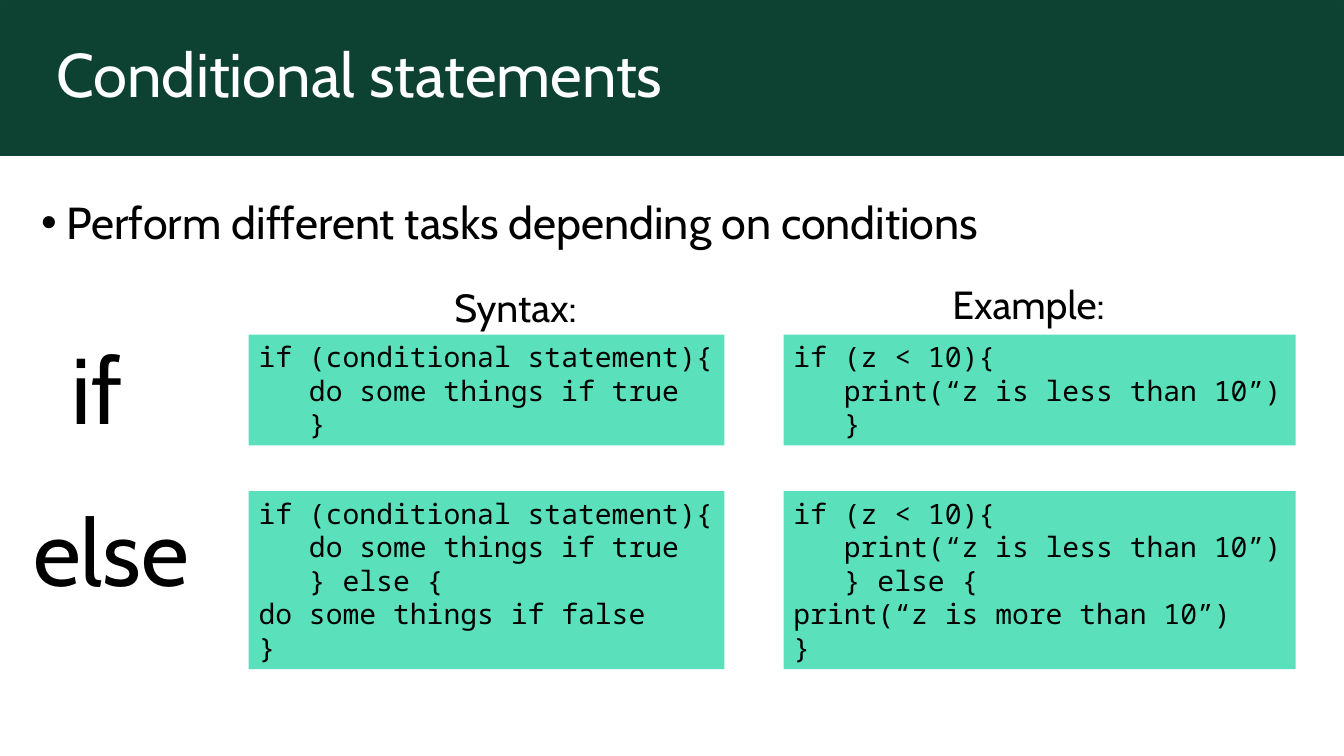
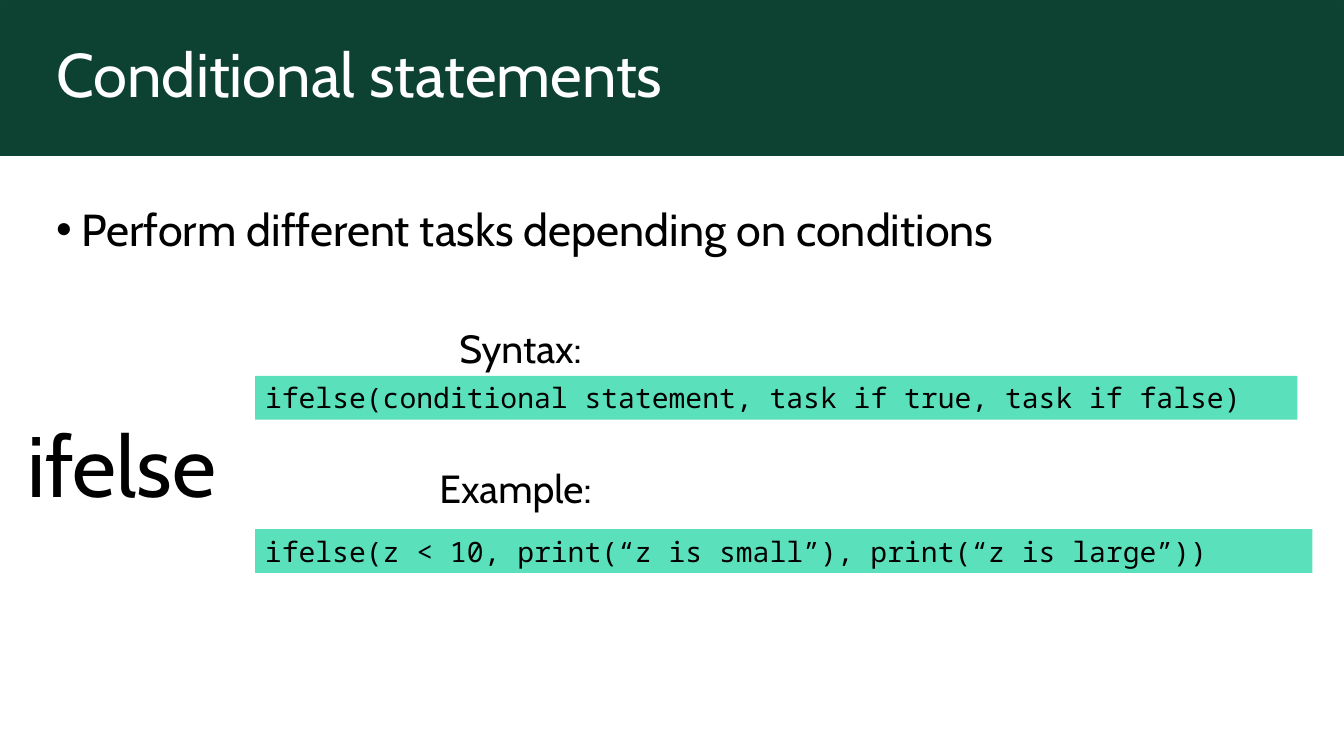
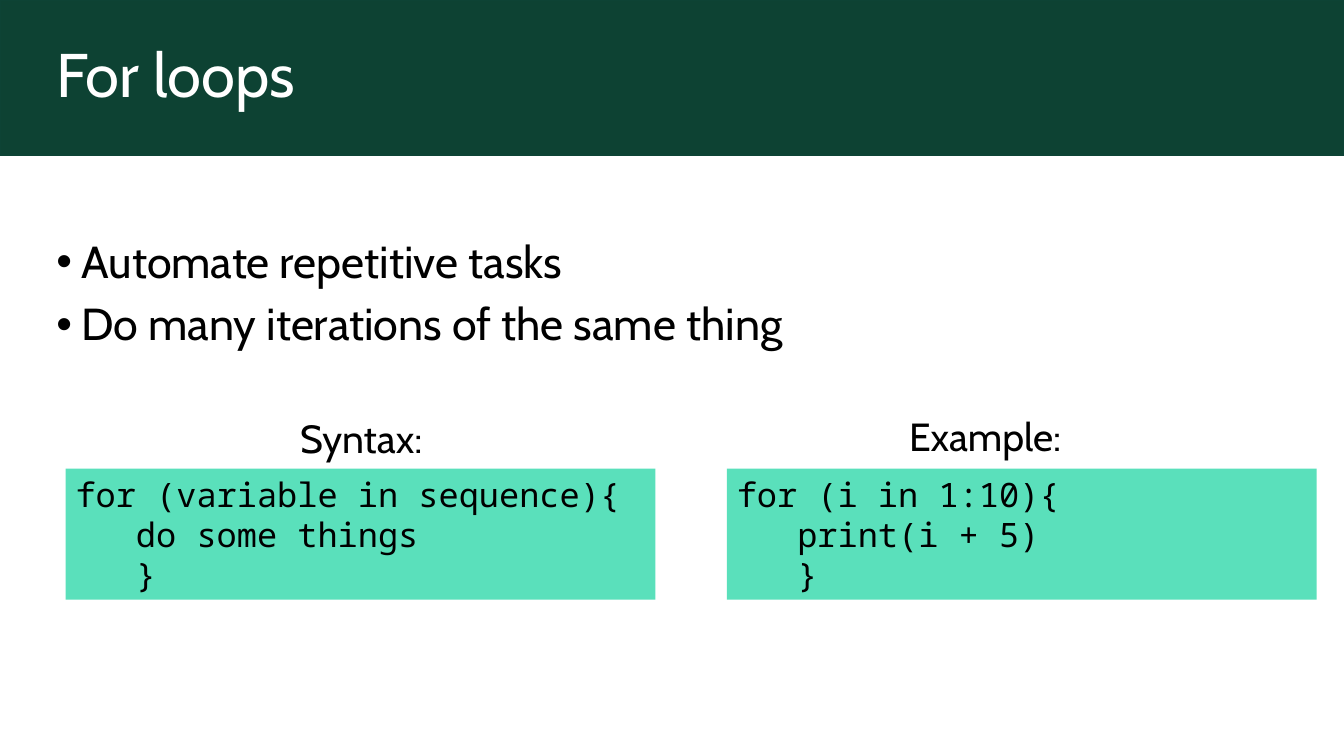
"""Build three slides on conditional statements and loops."""
import dataclasses

import pptx
import pptx.dml.color
import pptx.enum.shapes
import pptx.enum.text
import pptx.oxml
import pptx.oxml.ns
import pptx.util

Pt = pptx.util.Pt
Inches = pptx.util.Inches
Color = pptx.dml.color.RGBColor.from_string
RECTANGLE = pptx.enum.shapes.MSO_SHAPE.RECTANGLE
ANCHOR = pptx.enum.text.MSO_ANCHOR
AUTO_SIZE = pptx.enum.text.MSO_AUTO_SIZE
LEFT = pptx.enum.text.PP_ALIGN.LEFT


@dataclasses.dataclass(frozen=True)
class Theme:
    """Colours, fonts and type sizes of the slides."""
    band: str = "0D4233"
    band_line: str = "0D4335"
    code_fill: str = "5AE0BB"
    ink: str = "000000"
    paper: str = "FFFFFF"
    text_font: str = "Cabin"
    code_font: str = "Noto Sans Mono"
    title: float = 44
    bullet: float = 32
    label: float = 28
    keyword: float = 66.6
    keyword_small: float = 61.2
    code: float = 20
    code_large: float = 24


class Deck:
    """Draws elements on the current slide; places are percent of its size."""
    band_height = 20.53
    margin = 3.45

    def __init__(self, theme):
        self.theme = theme
        self.presentation = pptx.Presentation()
        self.presentation.slide_width = Inches(13.33)
        self.presentation.slide_height = Inches(7.5)
        self.layout = self.presentation.slide_layouts.get_by_name("Title Only")
        self.slide = None

    def across(self, share):
        """Turn a percentage of the slide width into a length."""
        return round(self.presentation.slide_width * share / 100)

    def down(self, share):
        """Turn a percentage of the slide height into a length."""
        return round(self.presentation.slide_height * share / 100)

    def box(self, left, top, width, height):
        """Return the four lengths of a box."""
        return self.across(left), self.down(top), self.across(width), self.down(height)

    def add_text(self, paragraph, text, size, font=None, color=None, spacing=1.0, before=0):
        """Add one run to a paragraph and format both."""
        paragraph.alignment = LEFT
        paragraph.line_spacing = spacing
        paragraph.space_before = Pt(before)
        run = paragraph.add_run()
        run.text = text
        run.font.size = Pt(size)
        run.font.name = font or self.theme.text_font
        run.font.color.rgb = Color(color or self.theme.ink)

    def paragraphs(self, frame, lines):
        """Yield a paragraph of the frame with each line."""
        for index, line in enumerate(lines):
            yield (frame.add_paragraph() if index else frame.paragraphs[0]), line

    def indent(self, paragraph, left, first=0):
        """Set the left margin and first-line indent of a paragraph."""
        properties = paragraph._p.get_or_add_pPr()
        properties.set("marL", str(int(left)))
        properties.set("indent", str(int(first)))
        return properties

    def rectangle(self, left, top, width, height, fill):
        """Add a plain filled rectangle, placed in lengths."""
        shape = self.slide.shapes.add_shape(RECTANGLE, left, top, width, height)
        shape.shadow.inherit = False
        shape.fill.solid()
        shape.fill.fore_color.rgb = Color(fill)
        shape.line.fill.background()
        return shape

    def band(self):
        """Put the title band on the shared layout."""
        shape = self.rectangle(*self.box(0, 0, 100, self.band_height), self.theme.band)
        shape.line.color.rgb = Color(self.theme.band_line)
        shape.line.width = Pt(1)
        self.layout.shapes.element.insert(2, shape.element)

    def start(self, title):
        """Start a titled slide."""
        first = self.slide is None
        self.slide = self.presentation.slides.add_slide(self.layout)
        if first:
            self.band()
        shape = self.slide.shapes.title
        shape.left, shape.top, shape.width, shape.height = self.box(
            self.margin, 0, 100 - self.margin, self.band_height)
        frame = shape.text_frame
        frame.auto_size = AUTO_SIZE.NONE
        frame.vertical_anchor = ANCHOR.MIDDLE
        self.add_text(frame.paragraphs[0], title, self.theme.title,
                      color=self.theme.paper, spacing=0.9)

    def text_box(self, left, top, width, height):
        """Add an empty wrapping text box and return its frame."""
        frame = self.slide.shapes.add_textbox(*self.box(left, top, width, height)).text_frame
        frame.word_wrap = True
        return frame

    def bullets(self, left, top, width, height, lines):
        """Add a bulleted list."""
        frame = self.text_box(left, top, width, height)
        for paragraph, line in self.paragraphs(frame, lines):
            self.add_text(paragraph, line, self.theme.bullet, spacing=0.9, before=10)
            properties = self.indent(paragraph, Inches(0.25), -Inches(0.25))
            for tag, name, value in (("a:buFont", "typeface", "Arial"),
                                     ("a:buChar", "char", "•")):
                element = pptx.oxml.parse_xml(
                    f"<{tag} {pptx.oxml.ns.nsdecls('a')}/>")
                element.set(name, value)
                properties.append(element)

    def label(self, left, top, text, width):
        """Add a heading above a code box."""
        frame = self.text_box(left, top, width, 8.67)
        self.add_text(frame.paragraphs[0], text, self.theme.label, spacing=0.9, before=10)

    def syntax_label(self, left, top):
        """Add the heading of a syntax box."""
        self.label(left, top, "Syntax:", 21.53)

    def example_label(self, left, top):
        """Add the heading of an example box."""
        self.label(left, top, "Example:", 24.6)

    def keyword(self, left, top, width, height, text, size, spacing):
        """Add a large keyword."""
        frame = self.text_box(left, top, width, height)
        self.add_text(frame.paragraphs[0], text, size, spacing=spacing, before=10)

    def code(self, left, top, width, lines, size=None):
        """Add a code box as high as its lines; leading spaces become indents."""
        size = size or self.theme.code
        height = Inches(0.1) + Pt(1.2 * size * len(lines))
        shape = self.rectangle(self.across(left), self.down(top), self.across(width),
                               height, self.theme.code_fill)
        frame = shape.text_frame
        frame.word_wrap = True
        frame.auto_size = AUTO_SIZE.SHAPE_TO_FIT_TEXT
        frame.vertical_anchor = ANCHOR.TOP
        for paragraph, line in self.paragraphs(frame, lines):
            text = line.lstrip()
            self.add_text(paragraph, text, size, self.theme.code_font)
            self.indent(paragraph, Pt(0.6 * size * (len(line) - len(text))))


def if_else_slide(deck):
    """Compare if and else in syntax and example."""
    deck.start("Conditional statements")
    deck.bullets(2.33, 25.87, 76.4, 12.5, ["Perform different tasks depending on conditions"])
    columns = (
        (18.5, 35.4, ["if (conditional statement){", "   do some things if true"],
         "do some things if false"),
        (58.3, 38.1, ["if (z < 10){", "   print(“z is less than 10”)"],
         "print(“z is more than 10”)"),
    )
    for left, width, opening, otherwise in columns:
        deck.code(left, 44.25, width, opening + ["   }"])
        deck.code(left, 64.95, width, opening + ["   } else {", otherwise, "}"])
    deck.syntax_label(33.08, 37.47)
    deck.example_label(70.13, 37.07)
    deck.keyword(4.58, 46, 9.53, 13.87, "if", deck.theme.keyword, 0.8)
    deck.keyword(1.73, 67.47, 14.55, 14.8, "else", deck.theme.keyword, 0.8)


def ifelse_slide(deck):
    """Show the ifelse function."""
    deck.start("Conditional statements")
    deck.bullets(deck.margin, 26.8, 76.4, 12.5,
                 ["Perform different tasks depending on conditions"])
    deck.code(18.98, 49.73, 77.55,
              ["ifelse(conditional statement, task if true, task if false)"])
    deck.code(18.98, 70, 78.68, ["ifelse(z < 10, print(“z is small”), print(“z is large”))"])
    deck.syntax_label(33.45, 42.93)
    deck.example_label(31.95, 61.47)
    deck.keyword(1.28, 57.47, 16.13, 12.5, "ifelse", deck.theme.keyword_small, 0.7)


def loops_slide(deck):
    """Show the for loop."""
    deck.start("For loops")
    deck.bullets(deck.margin, 31.07, 65.63, 25.07,
                 ["Automate repetitive tasks", "Do many iterations of the same thing"])
    for left, opening, task in ((4.88, "for (variable in sequence){", "   do some things"),
                                (54.08, "for (i in 1:10){", "   print(i + 5)")):
        deck.code(left, 62, 43.88, [opening, task, "   }"], deck.theme.code_large)
    deck.syntax_label(21.6, 54.8)
    deck.example_label(66.9, 54.53)


def main():
    """Build and save the presentation."""
    deck = Deck(Theme())
    for build in (if_else_slide, ifelse_slide, loops_slide):
        build(deck)
    deck.presentation.save("out.pptx")


if __name__ == "__main__":
    main()
